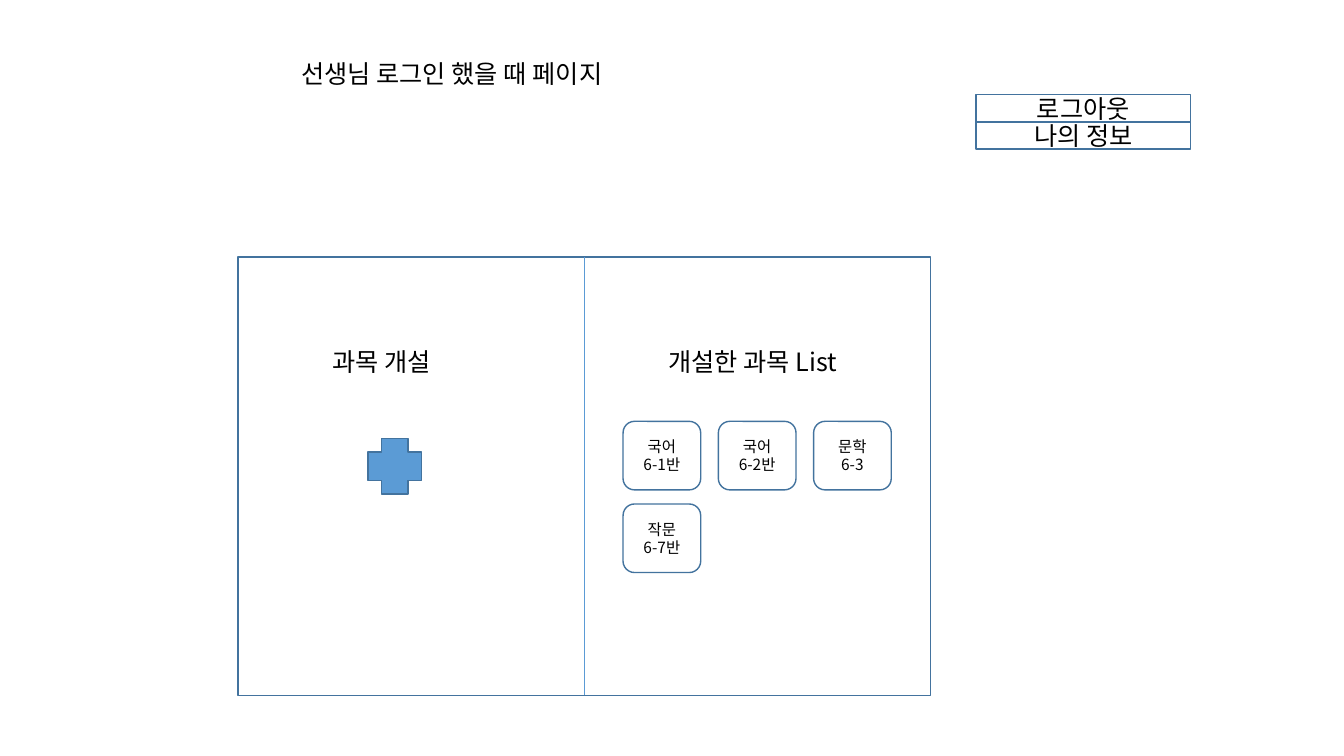
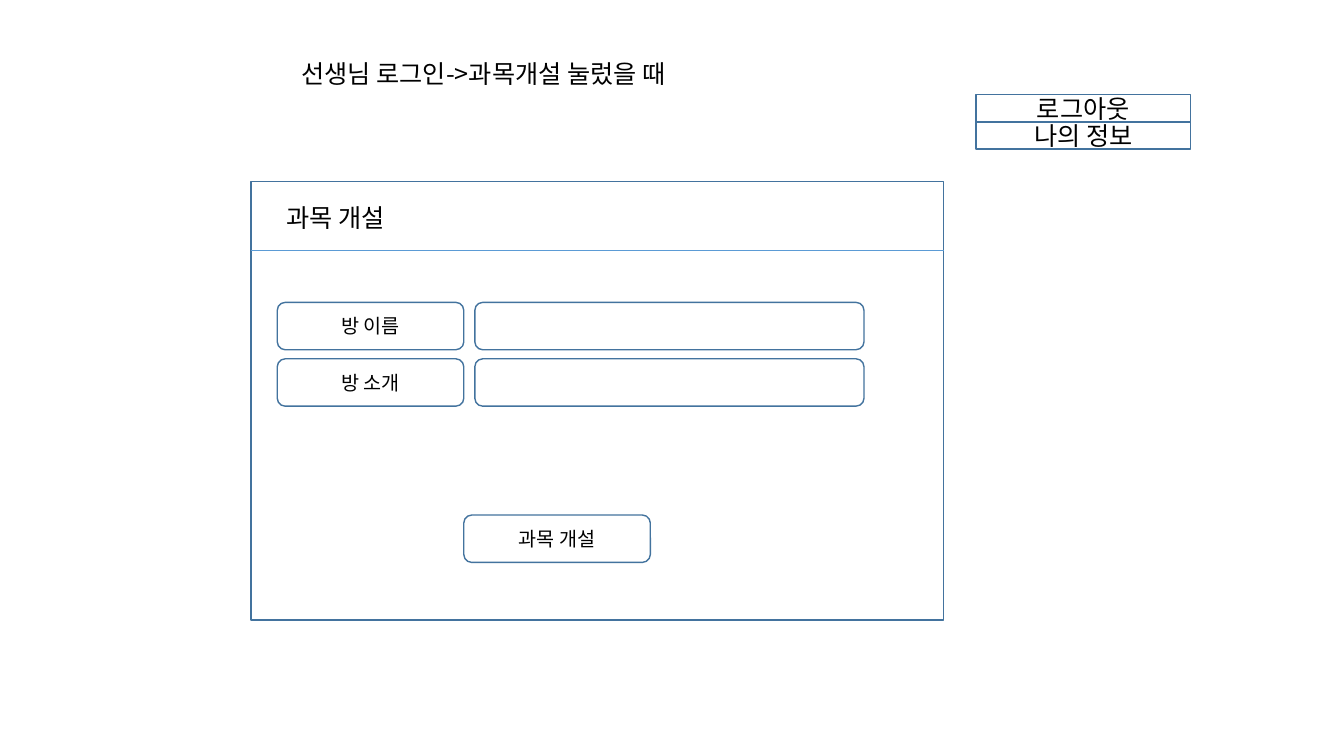
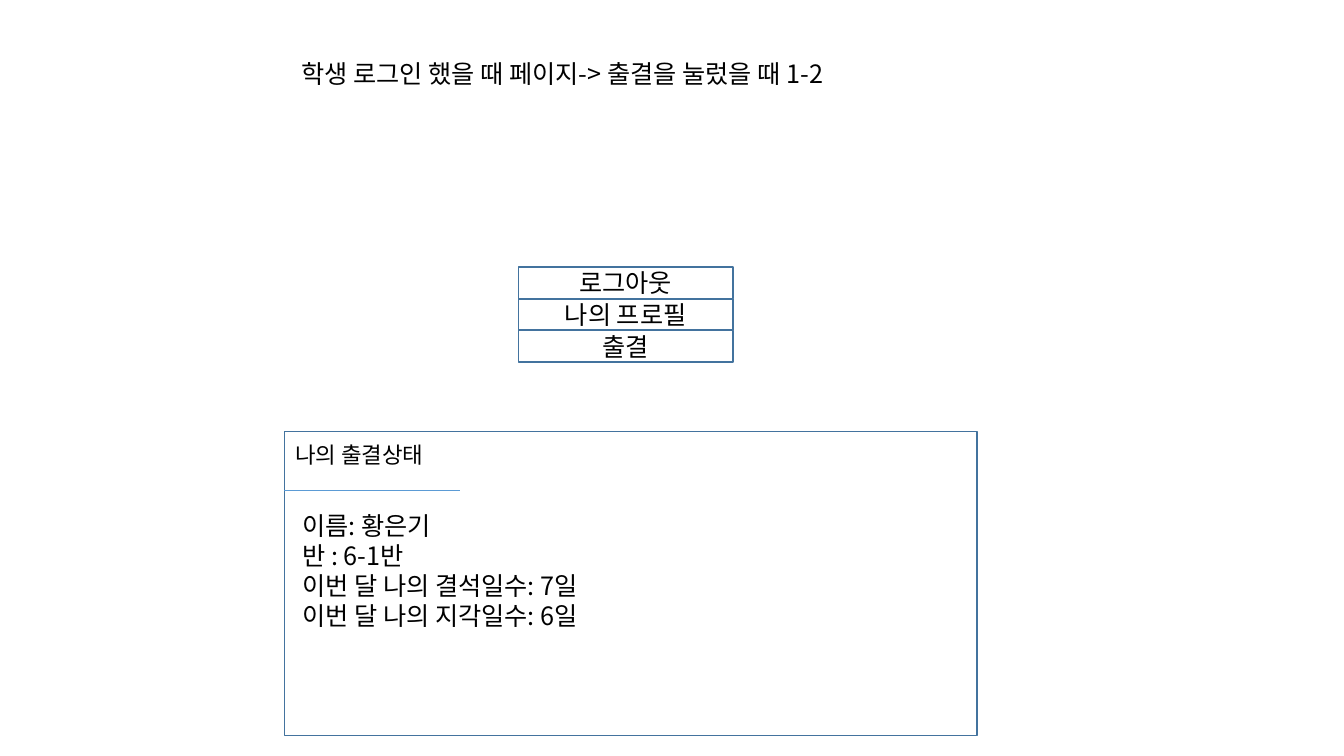
"""Build three wireframe pages for a school class site."""
import pptx
import pptx.dml.color
import pptx.enum.shapes
import pptx.enum.text
import pptx.oxml.ns
import pptx.util
from lxml import etree

TITLES = [
    "선생님 로그인 했을 때 페이지",
    "선생님 로그인->과목개설 눌렀을 때",
    "학생 로그인 했을 때 페이지-> 출결을 눌렀을 때 1-2",
]
TEACHER_MENU = ["로그아웃", "나의 정보"]
STUDENT_MENU = ["로그아웃", "나의 프로필", "출결"]
CREATE_LABEL = "과목 개설"
LIST_LABEL = "개설한 과목 List"
SUBJECTS = [("국어", "6-1반"), ("국어", "6-2반"), ("문학", "6-3"), ("작문", "6-7반")]
FIELDS = ["방 이름", "방 소개"]
ATTENDANCE_LABEL = "나의 출결상태"
ATTENDANCE = ["이름: 황은기", "반 : 6-1반 ", "이번 달 나의 결석일수: 7일", "이번 달 나의 지각일수: 6일"]

FONT = "Noto Sans CJK KR"
COLORS = {"ink": "000000", "paper": "FFFFFF", "outline": "43739E", "accent": "5B9BD5"}
PANEL_WIDTH, PANEL_HEIGHT = 6.87, 4.35
MENU_WIDTH = 2.13
SHAPES = pptx.enum.shapes.MSO_SHAPE
ALIGN = pptx.enum.text.PP_ALIGN
ANCHOR = pptx.enum.text.MSO_ANCHOR
Inches = pptx.util.Inches


def color(name):
    return pptx.dml.color.RGBColor.from_string(COLORS[name])


def write(shape, lines, size, align, anchor):
    frame = shape.text_frame
    for name, value in {"word_wrap": True, "vertical_anchor": anchor}.items():
        setattr(frame, name, value)
    for index, line in enumerate(lines):
        para = frame.paragraphs[0] if index == 0 else frame.add_paragraph()
        para.alignment = align
        span = para.add_run()
        span.text = line
        for name, value in {"name": FONT, "size": pptx.util.Pt(size)}.items():
            setattr(span.font, name, value)
        span.font.color.rgb = color("ink")
        east_asian = etree.SubElement(span.font._element, pptx.oxml.ns.qn("a:ea"))
        east_asian.set("typeface", FONT)


def add_label(page, lines, left, top, width, height=0.4, size=18):
    box = page.shapes.add_textbox(*map(Inches, (left, top, width, height)))
    write(box, lines, size, ALIGN.LEFT, ANCHOR.TOP)


def add_box(page, left, top, width, height, lines=(), size=18, kind=SHAPES.RECTANGLE, fill="paper"):
    box = page.shapes.add_shape(kind, *map(Inches, (left, top, width, height)))
    box.shadow.inherit = False
    box.fill.solid()
    box.fill.fore_color.rgb = color(fill)
    box.line.color.rgb = color("outline")
    box.line.width = pptx.util.Pt(1)
    write(box, lines, size, ALIGN.CENTER, ANCHOR.MIDDLE)


def add_rule(page, *ends):
    rule = page.shapes.add_connector(pptx.enum.shapes.MSO_CONNECTOR.STRAIGHT, *map(Inches, ends))
    rule.line.color.rgb = color("accent")
    rule.line.width = pptx.util.Pt(0.5)
    etree.SubElement(rule._element.spPr, pptx.oxml.ns.qn("a:effectLst"))


def add_menu(page, items, left, top, height, pitch):
    for row, item in enumerate(items):
        add_box(page, left, top + row * pitch, MENU_WIDTH, height, [item])


def add_teacher_menu(page):
    add_menu(page, TEACHER_MENU, 9.68, 0.94, 0.27, 0.27)


def teacher_home(page):
    left, top = 2.36, 2.55
    middle = left + PANEL_WIDTH / 2
    add_box(page, left, top, PANEL_WIDTH, PANEL_HEIGHT)
    add_box(page, 3.65, 4.35, 0.53, 0.55, kind=SHAPES.CROSS, fill="accent")
    add_label(page, [CREATE_LABEL], 3.2, 3.39, 1.61)
    add_rule(page, middle, top, middle, top + PANEL_HEIGHT)
    add_label(page, [LIST_LABEL], 6.53, 3.39, 2.17)
    for index, subject in enumerate(SUBJECTS):
        row, column = divmod(index, 3)
        add_box(page, 6.18 + column * 0.945, 4.18 + row * 0.82, 0.77, 0.68,
                subject, 11, SHAPES.ROUNDED_RECTANGLE)
    add_teacher_menu(page)


def subject_form(page):
    left, top, divider = 2.49, 1.8, 2.48
    label_width, field_height = 1.85, 0.47
    rounded = SHAPES.ROUNDED_RECTANGLE
    add_box(page, left, top, PANEL_WIDTH, PANEL_HEIGHT)
    add_label(page, [CREATE_LABEL], 2.74, 1.96, 1.61)
    add_rule(page, left, divider, left + PANEL_WIDTH, divider)
    for row, field in enumerate(FIELDS):
        field_top = 3 + row * 0.56
        add_box(page, 2.75, field_top, label_width, field_height, [field], 14, rounded)
        add_box(page, 4.71, field_top, 3.86, field_height, kind=rounded)
    add_box(page, 4.6, 5.11, label_width, field_height, [CREATE_LABEL], 14, rounded)
    add_teacher_menu(page)


def student_attendance(page):
    left, divider = 2.82, 4.86
    add_menu(page, STUDENT_MENU, 5.14, 2.65, 0.31, 0.315)
    add_box(page, left, 4.28, PANEL_WIDTH, 3.02)
    add_label(page, [ATTENDANCE_LABEL], 2.83, 4.33, 1.95, 0.64, 16)
    add_rule(page, left, divider, 4.56, divider)
    add_label(page, ATTENDANCE, 2.9, 5.01, 6.64, 1.31)


deck = pptx.Presentation()
for side, length in {"slide_width": 13.33, "slide_height": 7.5}.items():
    setattr(deck, side, Inches(length))
for title, draw in zip(TITLES, (teacher_home, subject_form, student_attendance)):
    page = deck.slides.add_slide(deck.slide_layouts[6])
    add_label(page, [title], 2.89, 0.53, 6.79)
    draw(page)
deck.save("out.pptx")
